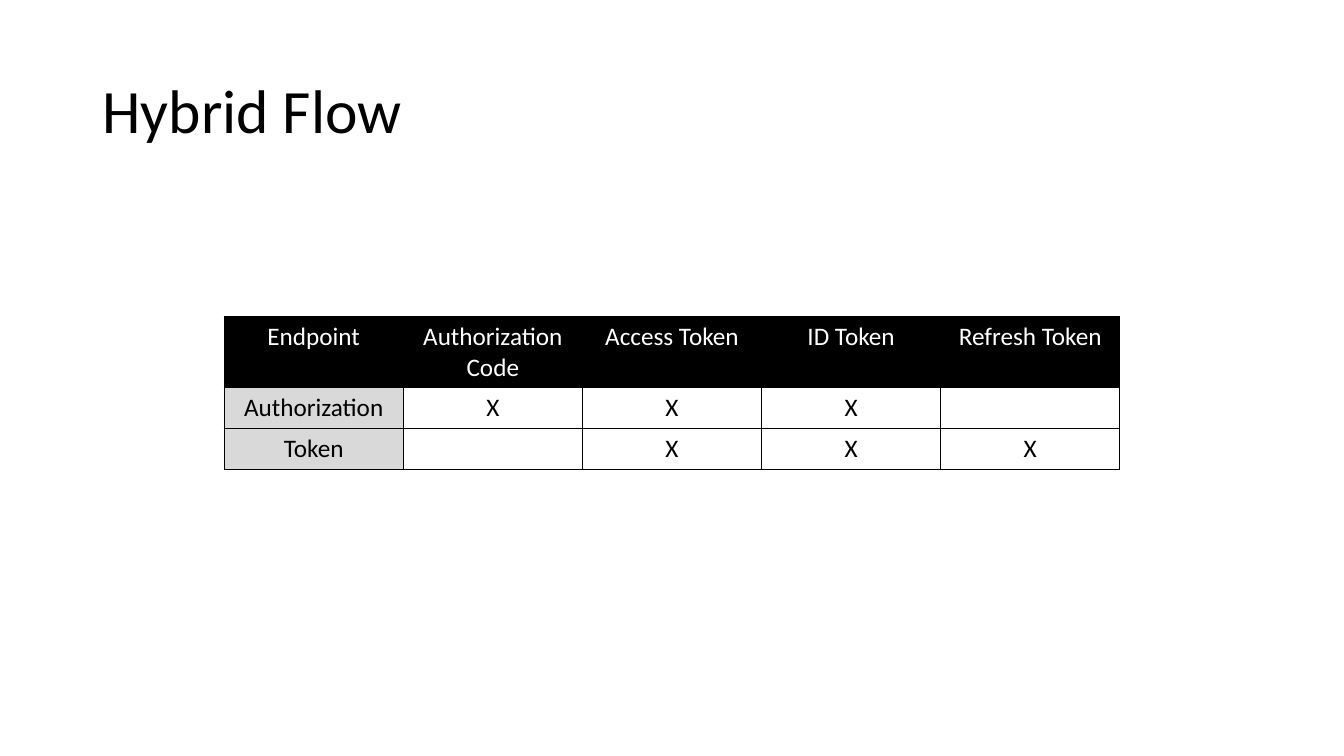
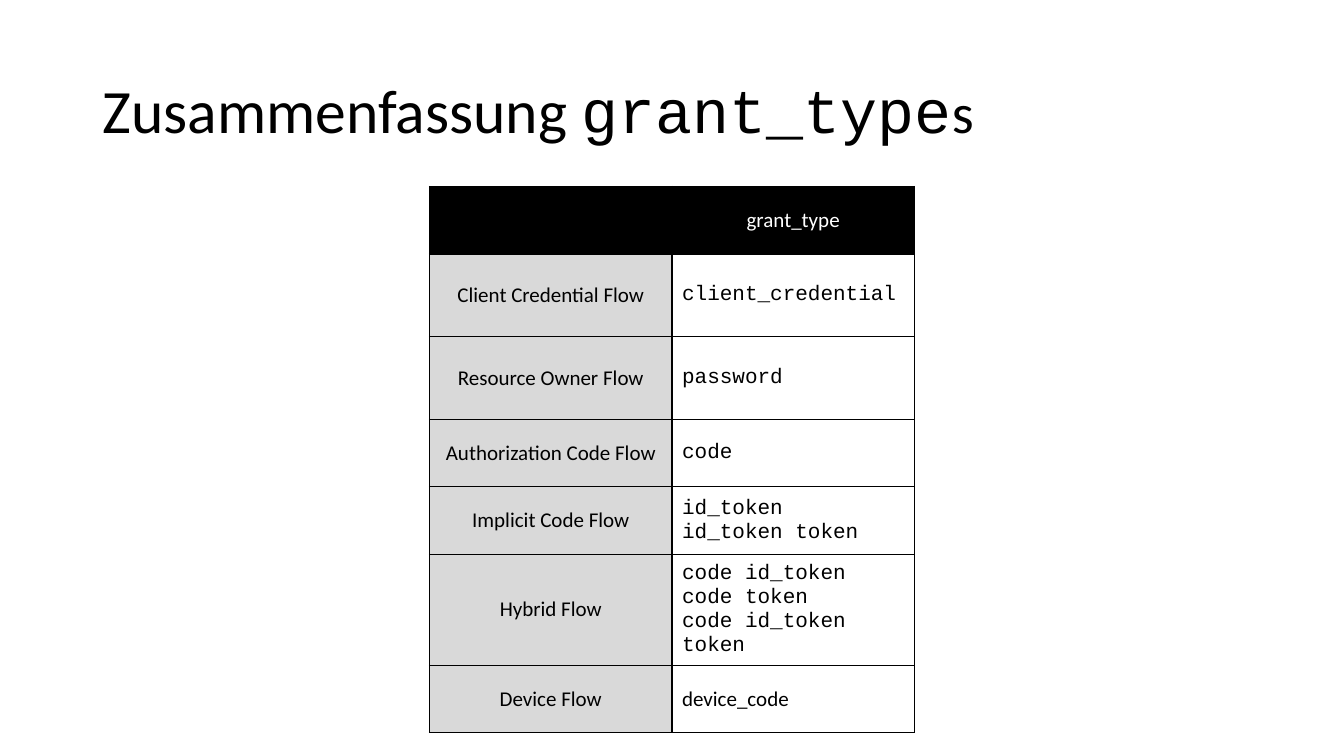
from dataclasses import dataclass

from lxml import etree
from pptx import Presentation
from pptx import util as u
from pptx.dml.color import RGBColor
from pptx.enum import text
from pptx.oxml import ns


@dataclass(frozen=True)
class Theme:
    black: str = "000000"
    white: str = "FFFFFF"
    grey: str = "D9D9D9"
    sans: str = "Calibri"
    mono: str = "Courier New"
    title_size: int = 44
    title_small: int = 40
    table_size: int = 18
    dense_size: int = 15
    border: int = 1


THEME = Theme()
WIDTH, HEIGHT = u.Inches(13.33), u.Inches(7.5)


@dataclass(frozen=True)
class Span:
    words: str
    font: str = THEME.sans
    size: int = THEME.title_size


@dataclass(frozen=True)
class Grid:
    """A centred table; top, column and row sizes are percent of the slide."""
    top: float
    column: float
    rows: tuple[float, ...]
    cells: tuple[tuple[str, ...], ...]
    size: int
    body_align: text.PP_ALIGN
    anchor: text.MSO_ANCHOR
    mono_cells: frozenset[str] = frozenset()


# Lengths as shares of the slide
def across(percent: float) -> int:
    return round(WIDTH * percent / 100)


def down(percent: float) -> int:
    return round(HEIGHT * percent / 100)


# Text
def add_span(para, words: str, *, font: str = THEME.sans, size: int,
             color: str = THEME.black) -> None:
    span = para.add_run()
    span.text = words
    span.font.name = font
    span.font.size = u.Pt(size)
    span.font.color.rgb = RGBColor.from_string(color)


def add_title(page, spans: tuple[Span, ...]) -> None:
    box = page.shapes.add_textbox(across(6.88), down(5.33), across(86.25), down(19.33))
    frame = box.text_frame
    frame.word_wrap = True
    frame.vertical_anchor = text.MSO_ANCHOR.MIDDLE
    para = frame.paragraphs[0]
    para.line_spacing = 0.9
    for span in spans:
        add_span(para, span.words, font=span.font, size=span.size)


# Tables
def add_borders(cell) -> None:
    properties = cell._tc.get_or_add_tcPr()
    for side in ("lnL", "lnR", "lnT", "lnB"):
        line = etree.SubElement(properties, ns.qn(f"a:{side}"), w=str(u.Pt(THEME.border)))
        fill = etree.SubElement(line, ns.qn("a:solidFill"))
        etree.SubElement(fill, ns.qn("a:srgbClr"), val=THEME.black)


def fill_cell(cell, words: str, *, fill: str, color: str, font: str, size: int,
              align: text.PP_ALIGN, anchor: text.MSO_ANCHOR) -> None:
    add_borders(cell)
    cell.fill.solid()
    cell.fill.fore_color.rgb = RGBColor.from_string(fill)
    cell.vertical_anchor = anchor
    frame = cell.text_frame
    for index, line in enumerate(words.splitlines()):
        para = frame.add_paragraph() if index else frame.paragraphs[0]
        para.alignment = align
        add_span(para, line, font=font, size=size, color=color)


def add_grid(page, grid: Grid) -> None:
    columns = len(grid.cells[0])
    width = grid.column * columns
    table = page.shapes.add_table(
        len(grid.rows), columns, across((100 - width) / 2), down(grid.top),
        across(width), down(sum(grid.rows))).table
    table.first_row = table.horz_banding = False
    for column in table.columns:
        column.width = across(grid.column)
    for r, (height, row) in enumerate(zip(grid.rows, grid.cells)):
        table.rows[r].height = down(height)
        for c, words in enumerate(row):
            if r == 0:
                fill, color = THEME.black, THEME.white
            else:
                fill, color = THEME.white if c else THEME.grey, THEME.black
            fill_cell(
                table.cell(r, c), words, fill=fill, color=color, size=grid.size,
                font=THEME.mono if words in grid.mono_cells else THEME.sans,
                align=grid.body_align if r and c else text.PP_ALIGN.CENTER,
                anchor=grid.anchor)


# Content
ENDPOINTS = Grid(
    top=41.87, column=13.33, rows=(5.47,) * 3, size=THEME.table_size,
    body_align=text.PP_ALIGN.CENTER, anchor=text.MSO_ANCHOR.TOP,
    cells=(
        ("Endpoint", "Authorization Code", "Access Token", "ID Token", "Refresh Token"),
        ("Authorization", "X", "X", "X", ""),
        ("Token", "", "X", "X", "X"),
    ))

LOW, TALL = 8.93, 10.93
FLOWS = (
    ("Client Credential Flow", "client_credential"),
    ("Resource Owner Flow", "password"),
    ("Authorization Code Flow", "code"),
    ("Implicit Code Flow", "id_token\nid_token token"),
    ("Hybrid Flow", "code id_token\ncode token\ncode id_token token"),
)
GRANT_TYPES = Grid(
    top=24.67, column=18.04, rows=(LOW, TALL, TALL, LOW, LOW, TALL, LOW),
    size=THEME.dense_size, body_align=text.PP_ALIGN.LEFT,
    anchor=text.MSO_ANCHOR.MIDDLE,
    cells=(("", "grant_type"), *FLOWS, ("Device Flow", "device_code")),
    mono_cells=frozenset(value for _, value in FLOWS))

PAGES = (
    ((Span("Hybrid Flow"),), ENDPOINTS),
    ((Span("Zusammenfassung "), Span("grant_type", font=THEME.mono),
      Span("s", size=THEME.title_small)), GRANT_TYPES),
)


def main() -> None:
    deck = Presentation()
    deck.slide_width, deck.slide_height = WIDTH, HEIGHT
    for title, grid in PAGES:
        page = deck.slides.add_slide(deck.slide_layouts[6])
        add_title(page, title)
        add_grid(page, grid)
    deck.save("out.pptx")


if __name__ == "__main__":
    main()
